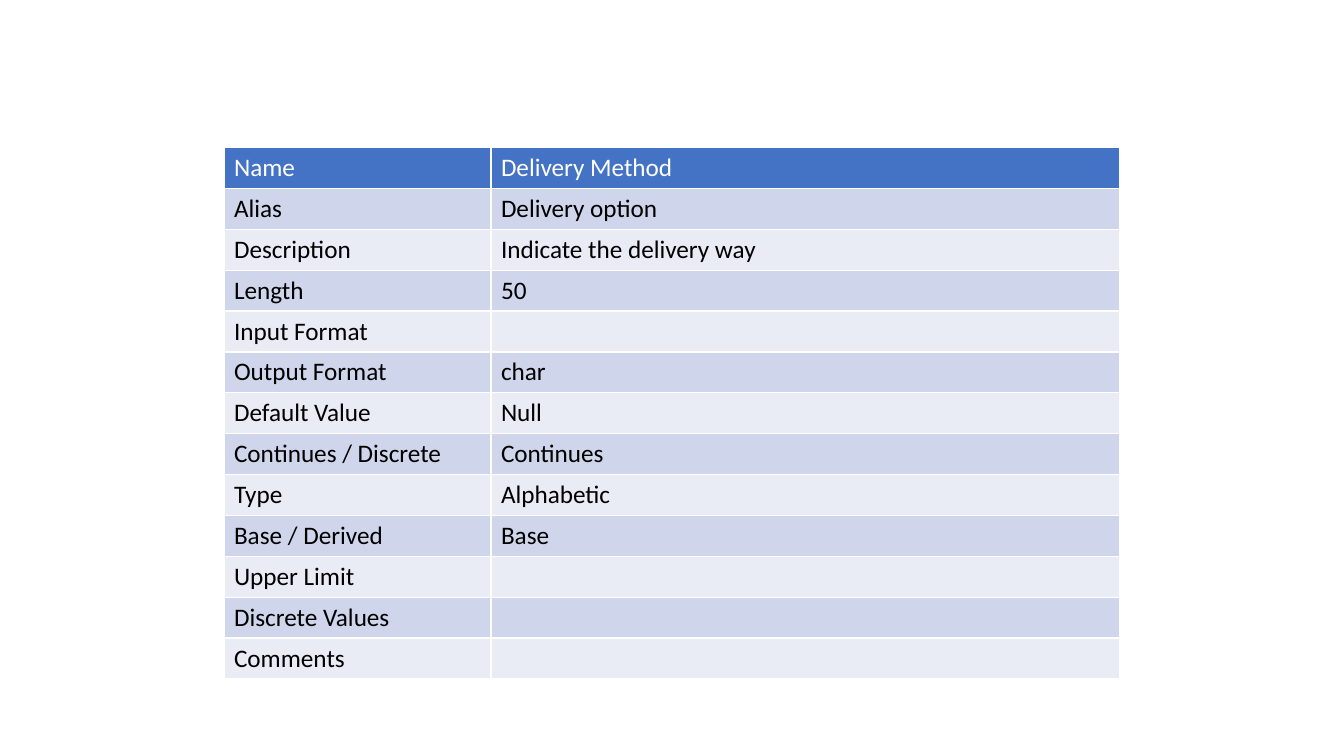
from dataclasses import dataclass

from pptx import Presentation
from pptx.dml.color import RGBColor
from pptx.util import Pt

BLANK_LAYOUT = 6

ATTRIBUTES = [
    ("Name", "Delivery Method"),
    ("Alias", "Delivery option"),
    ("Description", "Indicate the delivery way"),
    ("Length", "50"),
    ("Input Format", ""),
    ("Output Format", "char"),
    ("Default Value", "Null"),
    ("Continues / Discrete", "Continues"),
    ("Type", "Alphabetic"),
    ("Base / Derived", "Base"),
    ("Upper Limit", ""),
    ("Discrete Values", ""),
    ("Comments", ""),
]


@dataclass(frozen=True)
class Theme:
    font: str = "Calibri"
    size: int = 18
    header_fill: str = "4472C4"
    header_text: str = "FFFFFF"
    band_fills: tuple = ("E9EBF5", "CFD5EA")
    body_text: str = "000000"


THEME = Theme()
SLIDE_SIZE = (960, 540)
TABLE_LEFT, TABLE_TOP = 160, 105.4
COLUMN_WIDTHS = (190.7, 449.3)
ROW_HEIGHT = 29.2


def fill_cell(cell, wording, fill, color):
    cell.fill.solid()
    cell.fill.fore_color.rgb = RGBColor.from_string(fill)
    paragraph = cell.text_frame.paragraphs[0]
    paragraph.font.size = Pt(THEME.size)
    if wording:
        run = paragraph.add_run()
        run.text = wording
        run.font.name = THEME.font
        run.font.size = Pt(THEME.size)
        run.font.bold = False
        run.font.color.rgb = RGBColor.from_string(color)


def add_attribute_table(slide):
    table = slide.shapes.add_table(
        len(ATTRIBUTES), len(COLUMN_WIDTHS),
        Pt(TABLE_LEFT), Pt(TABLE_TOP),
        Pt(sum(COLUMN_WIDTHS)), Pt(ROW_HEIGHT * len(ATTRIBUTES)),
    ).table
    for column, width in zip(table.columns, COLUMN_WIDTHS):
        column.width = Pt(width)
    for index, (row, attribute) in enumerate(zip(table.rows, ATTRIBUTES)):
        row.height = Pt(ROW_HEIGHT)
        if index == 0:
            fill, color = THEME.header_fill, THEME.header_text
        else:
            fill, color = THEME.band_fills[index % 2], THEME.body_text
        for cell, wording in zip(row.cells, attribute):
            fill_cell(cell, wording, fill, color)


def main():
    deck = Presentation()
    deck.slide_width, deck.slide_height = map(Pt, SLIDE_SIZE)
    slide = deck.slides.add_slide(deck.slide_layouts[BLANK_LAYOUT])
    add_attribute_table(slide)
    deck.save("out.pptx")


if __name__ == "__main__":
    main()
